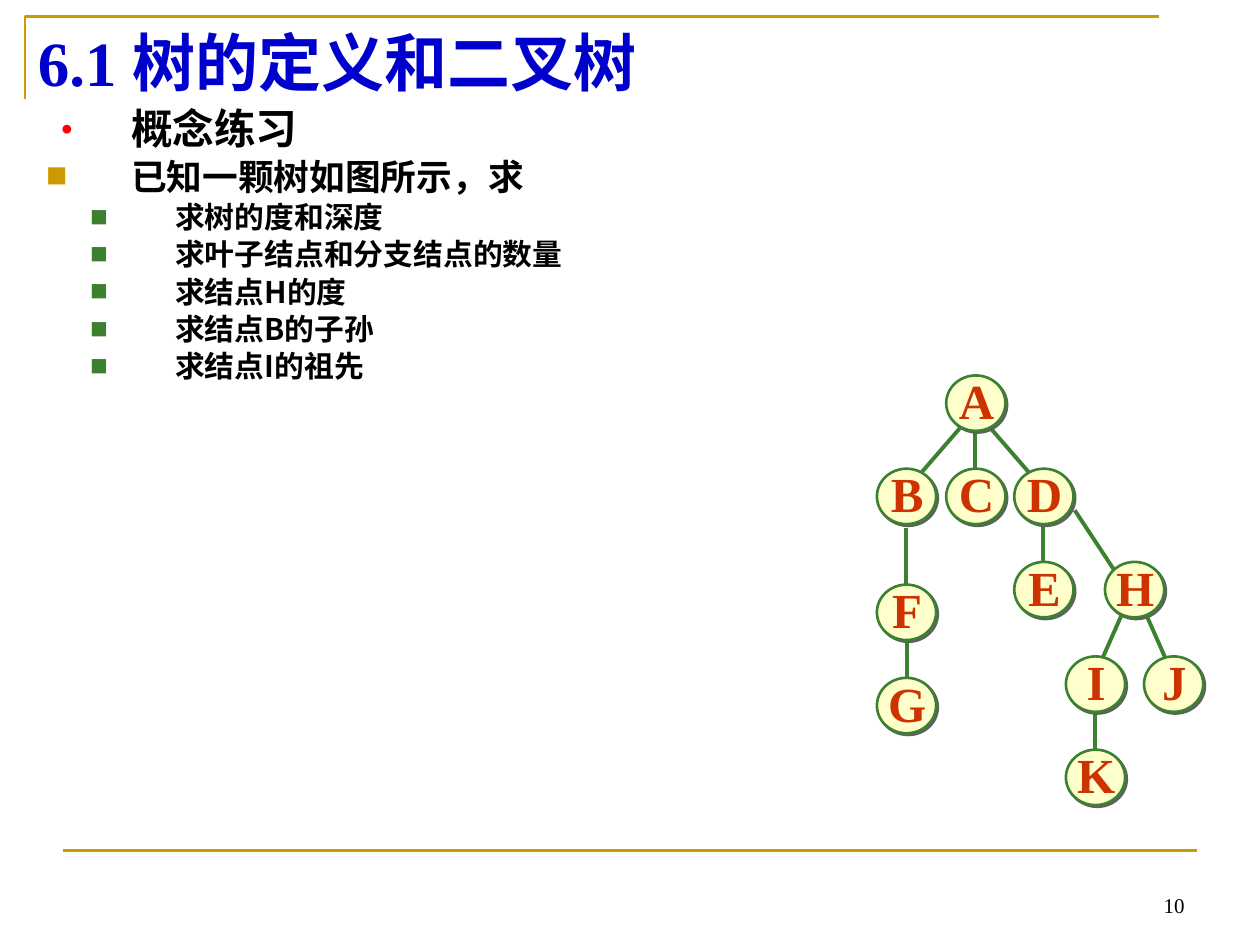
"""Build a slide with exercises on a tree of eleven nodes."""
from lxml import etree
from pptx import Presentation
from pptx import util as u
from pptx.dml.color import RGBColor
from pptx.enum import shapes, text
from pptx.oxml import ns

COLOURS = {"gold": "CC9900", "green": "3B812F", "cream": "FFFFCC", "rust": "CC3300",
           "blue": "0000CC", "red": "FF0000", "black": "000000", "grey": "5F5F5F"}
SERIF, SANS = "Times New Roman", "Noto Sans CJK SC"

ITEMS = [
    ("概念练习", 0, 23.8, 0, "•", "red", 100),
    ("已知一颗树如图所示，求", 0, 20.4, 6, "■", "gold", 60),
] + [(line, 1, 17, 5, "■", "green", 60) for line in (
    "求树的度和深度", "求叶子结点和分支结点的数量", "求结点H的度",
    "求结点B的子孙", "求结点I的祖先")]

NODES = {"A": (7.51, 2.98), "B": (6.96, 3.72), "C": (7.51, 3.72), "D": (8.05, 3.72),
         "E": (8.05, 4.46), "F": (6.96, 4.64), "G": (6.96, 5.38), "H": (8.77, 4.46),
         "I": (8.46, 5.21), "J": (9.08, 5.21), "K": (8.46, 5.95)}

EDGES = {"AB": (7.66, 3.35, 7.27, 3.8), "AC": (7.74, 3.35, 7.74, 3.8),
         "AD": (7.82, 3.35, 8.21, 3.8), "BF": (7.19, 4.19, 7.19, 4.64),
         "DE": (8.28, 4.09, 8.28, 4.54), "DH": (8.53, 4.05, 8.84, 4.52),
         "FG": (7.2, 5.01, 7.2, 5.46), "HI": (8.92, 4.84, 8.69, 5.36),
         "HJ": (9.08, 4.84, 9.31, 5.36), "IK": (8.69, 5.58, 8.69, 6.02)}


def child(parent, tag, **attributes):
    """Append a drawing element with its attributes."""
    return etree.SubElement(parent, ns.qn(tag), attributes)


def assign(target, values):
    """Set attributes of an object from a dict."""
    for name, value in values.items():
        setattr(target, name, value)


class TreeSlide:
    """Hold the style and the current slide, and draw its elements."""

    def __init__(self, deck):
        """Add a title and content page to the deck."""
        self.page = deck.slides.add_slide(deck.slide_layouts[1])
        self.frame = {"margin_left": u.Inches(0.1), "margin_right": u.Inches(0.1),
                      "margin_top": u.Inches(0.05), "margin_bottom": u.Inches(0.05),
                      "auto_size": text.MSO_AUTO_SIZE.NONE}

    def place(self, box, left, top, width, height):
        """Move and size a box."""
        assign(box, {"left": u.Inches(left), "top": u.Inches(top),
                     "width": u.Inches(width), "height": u.Inches(height)})

    def outline(self, shape, colour, width):
        """Style the line of a shape."""
        shape.line.color.rgb = RGBColor.from_string(COLOURS[colour])
        shape.line.width = u.Pt(width)

    def add_span(self, para, words, size, colour, face=SERIF, bold=True):
        """Add a formatted span to a paragraph."""
        span = para.add_run()
        span.text = words
        assign(span.font, {"size": u.Pt(size), "name": face, "bold": bold})
        span.font.color.rgb = RGBColor.from_string(COLOURS[colour])
        child(span.font._element, "a:ea", typeface=SANS)

    def title(self, words):
        """Fill the title placeholder."""
        box = self.page.shapes.title
        self.place(box, 0.2, 0.13, 9, 0.71)
        assign(box.text_frame, {**self.frame, "vertical_anchor": text.MSO_ANCHOR.MIDDLE})
        para = box.text_frame.paragraphs[0]
        para.alignment = text.PP_ALIGN.LEFT
        self.add_span(para, words, 36, "blue")

    def bullets(self, items):
        """Fill the body placeholder with a two-level list."""
        box = self.page.placeholders[1]
        self.place(box, 0.27, 0.84, 9.29, 2.6)
        assign(box.text_frame, {**self.frame, "vertical_anchor": text.MSO_ANCHOR.TOP})
        for index, (words, level, size, before, mark, colour, scale) in enumerate(items):
            para = box.text_frame.add_paragraph() if index else box.text_frame.paragraphs[0]
            layout = para._p.get_or_add_pPr()
            layout.set("marL", str(u.Inches(1.02 if level else 0.67)))
            layout.set("indent", str(u.Inches(-0.67)))
            child(child(layout, "a:buClr"), "a:srgbClr", val=COLOURS[colour])
            child(layout, "a:buSzPct", val=str(scale * 1000))
            child(layout, "a:buFont", typeface=SANS)
            child(layout, "a:buChar", char=mark)
            assign(para, {"level": level, "line_spacing": 0.8,
                          "space_before": u.Pt(before), "space_after": u.Pt(0)})
            self.add_span(para, words, size, "black", SANS)

    def label(self, words, area, size, colour, **options):
        """Add a text box with one line."""
        box = self.page.shapes.add_textbox(*map(u.Inches, area))
        assign(box.text_frame, {**self.frame, "word_wrap": options["wrap"],
                                "vertical_anchor": options["anchor"]})
        para = box.text_frame.paragraphs[0]
        para.alignment = options["align"]
        self.add_span(para, words, size, colour, bold=options["bold"])

    def line(self, ends, colour, width):
        """Add a straight connector without a shadow."""
        connector = self.page.shapes.add_connector(
            shapes.MSO_CONNECTOR.STRAIGHT, *map(u.Inches, ends))
        self.outline(connector, colour, width)
        child(connector._element.spPr, "a:effectLst")

    def corner(self, points):
        """Add an open outline through the points."""
        start, *rest = [tuple(map(u.Inches, point)) for point in points]
        builder = self.page.shapes.build_freeform(*start)
        builder.add_line_segments(rest, close=False)
        shape = builder.convert_to_shape()
        shape.shadow.inherit = False
        shape.fill.background()
        self.outline(shape, "gold", 1.5)

    def node(self, name, left, top):
        """Add a shadowed circle and its letter."""
        circle = self.page.shapes.add_shape(
            shapes.MSO_SHAPE.OVAL, *map(u.Inches, (left, top, 0.47, 0.44)))
        circle.fill.solid()
        circle.fill.fore_color.rgb = RGBColor.from_string(COLOURS["cream"])
        self.outline(circle, "green", 1.5)
        circle.shadow.inherit = False
        effects = circle._element.spPr.find(ns.qn("a:effectLst"))
        shadow = child(effects, "a:outerShdw", dist=str(u.Pt(1.4)), dir=str(45 * 60000),
                       algn="ctr", rotWithShape="0")
        child(shadow, "a:srgbClr", val=COLOURS["grey"])
        self.label(name, (left, top - 0.09, 0.48, 0.57), 28, "rust", bold=True, wrap=False,
                   anchor=text.MSO_ANCHOR.MIDDLE, align=text.PP_ALIGN.CENTER)


def main():
    """Build and save the deck."""
    deck = Presentation()
    assign(deck, {"slide_width": u.Inches(10), "slide_height": u.Inches(7.5)})
    slide = TreeSlide(deck)
    slide.corner([(0.2, 0.79), (0.2, 0.13), (9.2, 0.13)])
    slide.line((0.5, 6.75, 9.5, 6.75), "gold", 1.5)
    slide.label("10", (7.17, 6.83, 2.33, 0.5), 12, "black", bold=False, wrap=True,
                anchor=text.MSO_ANCHOR.BOTTOM, align=text.PP_ALIGN.RIGHT)
    slide.bullets(ITEMS)
    slide.title("6.1 树的定义和二叉树")
    for ends in EDGES.values():
        slide.line(ends, "green", 2.25)
    for name, corner in NODES.items():
        slide.node(name, *corner)
    deck.save("out.pptx")


if __name__ == "__main__":
    main()
